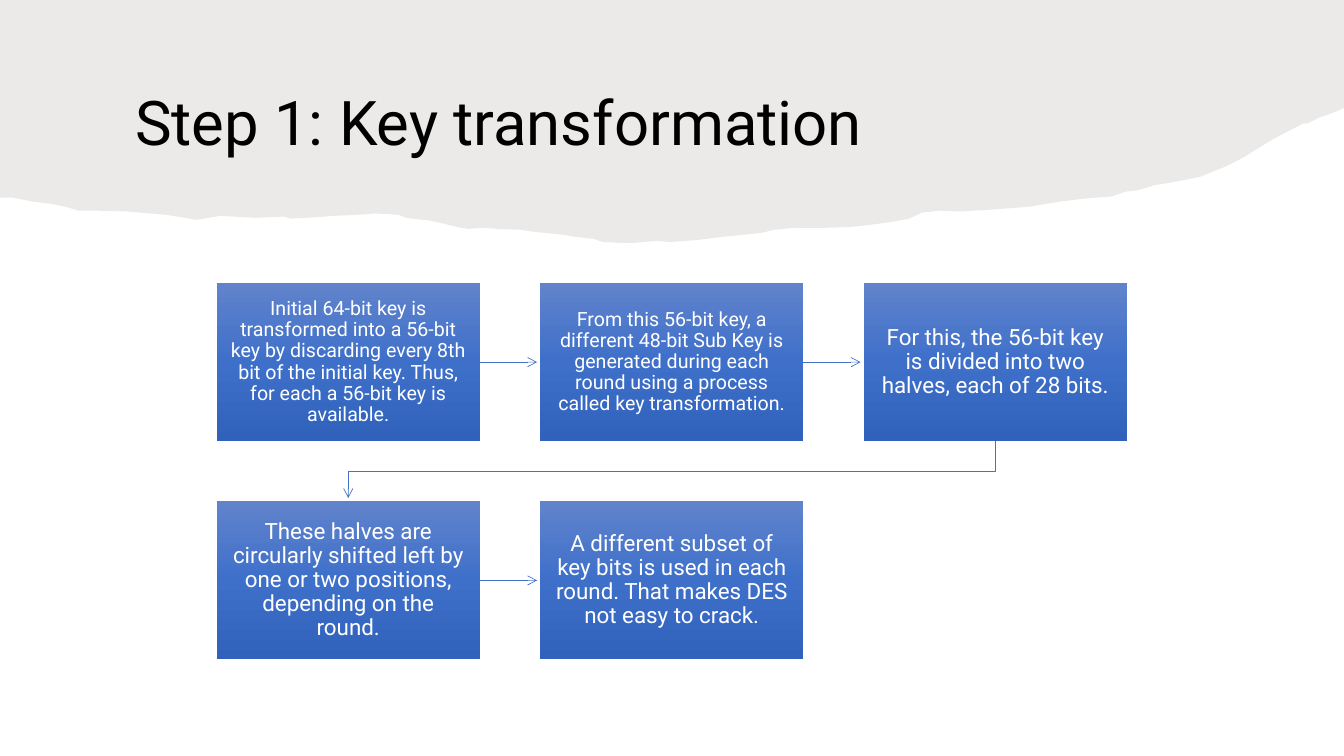
from copy import deepcopy

from lxml import etree
from pptx import Presentation
from pptx.dml.color import RGBColor
from pptx.enum.shapes import MSO_CONNECTOR, MSO_SHAPE
from pptx.enum.text import MSO_ANCHOR, PP_ALIGN
from pptx.oxml.ns import qn
from pptx.util import Cm, Pt

RECTANGLE = MSO_SHAPE.RECTANGLE
STRAIGHT = MSO_CONNECTOR.STRAIGHT
MIDDLE = MSO_ANCHOR.MIDDLE
LEFT, CENTER = PP_ALIGN.LEFT, PP_ALIGN.CENTER

FONT = "Roboto"
BANNER_COLOR = "ECEAE9"
ARROW_COLOR = "4472C4"
GRADIENT = [(0, "6183CB"), (0.5, "3E70CA"), (1, "3062BB")]

TITLE = "Step 1: Key transformation"
STEPS = [
    ("Initial 64-bit key is transformed into a 56-bit key by discarding every 8th bit "
     "of the initial key. Thus, for each a 56-bit key is available.", 14, 0.27),
    ("From this 56-bit key, a different 48-bit Sub Key is generated during each round "
     "using a process called key transformation.", 14, 0.27),
    ("For this, the 56-bit key is divided into two halves, each of 28 bits.", 16, 0.3),
    ("These halves are circularly shifted left by one or two positions, "
     "depending on the round.", 16, 0.3),
    ("A different subset of key bits is used in each round. "
     "That makes DES not easy to crack.", 16, 0.3),
]

TORN_EDGE = [
    (33.86, 2.72), (33.71, 2.79), (33.43, 2.9), (33.22, 2.97), (32.97, 3.1), (32.82, 3.12),
    (32.18, 3.45), (31.95, 3.58), (31.34, 3.96), (31.09, 4.09), (30.89, 4.19), (30.25, 4.45),
    (29.92, 4.52), (29.51, 4.6), (29.08, 4.67), (28.65, 4.8), (28.35, 4.83), (28.02, 4.95),
    (27.36, 5), (26.7, 5.08), (25.93, 5.21), (25.02, 5.28), (24.18, 5.33), (23.67, 5.31),
    (23.22, 5.36), (22.91, 5.51), (22.48, 5.59), (21.97, 5.66), (21.44, 5.72), (20.83, 5.74),
    (20.04, 5.74), (19.51, 5.79), (19.18, 5.87), (18.19, 5.97), (17.55, 6.05), (16.87, 6.1),
    (16.56, 6.07), (16, 6.12), (15.62, 6.12), (15.19, 6.1), (14.96, 6.02), (14.5, 5.97),
    (14.22, 5.92), (13.92, 5.89), (13.44, 5.84), (13.11, 5.79), (12.55, 5.77), (12.12, 5.74),
    (11.81, 5.77), (11.51, 5.72), (11.2, 5.64), (10.82, 5.56), (10.24, 5.49), (10.03, 5.41),
    (9.45, 5.38), (9.07, 5.41), (8.41, 5.44), (7.72, 5.49), (7.34, 5.51), (7.14, 5.46),
    (6.43, 5.49), (5.54, 5.44), (4.95, 5.54), (4.47, 5.46), (4.17, 5.41), (3.2, 5.33),
    (2.39, 5.31), (1.98, 5.31), (1.65, 5.21), (1.24, 5.13), (0.81, 5.08), (0.33, 4.98), (0, 4.98),
]

SLIDE_WIDTH, SLIDE_HEIGHT = 33.86, 19.05
COLUMNS = 3
GRID_LEFT, GRID_TOP = 5.46, 7.13
BOX_WIDTH, BOX_HEIGHT = 6.63, 3.99
COLUMN_STEP, ROW_STEP = 8.15, 5.5
ARROW_GAP = 0.08


def color(value):
    return RGBColor.from_string(value)


def draw_outline(slide, points, close):
    start, *rest = [(Cm(x), Cm(y)) for x, y in points]
    builder = slide.shapes.build_freeform(*start)
    builder.add_line_segments(rest, close=close)
    shape = builder.convert_to_shape()
    shape.shadow.inherit = False
    return shape


def format_text(text_frame, text, size, font_color, alignment):
    text_frame.text = text
    text_frame.word_wrap = True
    text_frame.vertical_anchor = MIDDLE
    paragraph = text_frame.paragraphs[0]
    paragraph.alignment = alignment
    paragraph.line_spacing = 0.9
    font = paragraph.runs[0].font
    font.name = FONT
    font.size = Pt(size)
    font.color.rgb = color(font_color)


def format_arrow(arrow):
    arrow.line.color.rgb = color(ARROW_COLOR)
    arrow.line.width = Pt(0.5)
    properties = arrow._element.spPr
    etree.SubElement(properties.find(qn("a:ln")), qn("a:tailEnd"), type="arrow")
    if properties.find(qn("a:effectLst")) is None:
        etree.SubElement(properties, qn("a:effectLst"))


def box_position(index):
    row, column = divmod(index, COLUMNS)
    return GRID_LEFT + column * COLUMN_STEP, GRID_TOP + row * ROW_STEP


def add_arrow(slide, index):
    left, top = box_position(index)
    next_left, next_top = box_position(index + 1)
    if top == next_top:
        middle = Cm(top + BOX_HEIGHT / 2)
        arrow = slide.shapes.add_connector(
            STRAIGHT, Cm(left + BOX_WIDTH), middle, Cm(next_left - ARROW_GAP), middle)
    else:
        bottom = top + BOX_HEIGHT
        turn = (bottom + next_top) / 2
        start_x, end_x = left + BOX_WIDTH / 2, next_left + BOX_WIDTH / 2
        points = [(start_x, bottom), (start_x, turn), (end_x, turn),
                  (end_x, next_top - ARROW_GAP)]
        arrow = draw_outline(slide, points, close=False)
        arrow.fill.background()
    format_arrow(arrow)


def add_box(slide, index, text, size, inset):
    left, top = box_position(index)
    box = slide.shapes.add_shape(RECTANGLE, Cm(left), Cm(top), Cm(BOX_WIDTH), Cm(BOX_HEIGHT))
    box.shadow.inherit = False
    box.line.fill.background()
    box.fill.gradient()
    box.fill.gradient_angle = 270
    stop_list = box._element.spPr.find(qn("a:gradFill")).find(qn("a:gsLst"))
    stop_list.insert(1, deepcopy(stop_list[0]))
    for stop, (position, stop_color) in zip(box.fill.gradient_stops, GRADIENT):
        stop.position = position
        stop.color.rgb = color(stop_color)
    frame = box.text_frame
    frame.margin_left = frame.margin_right = Cm(inset)
    frame.margin_top = frame.margin_bottom = Cm(inset)
    format_text(frame, text, size, "FFFFFF", CENTER)


def main():
    presentation = Presentation()
    presentation.slide_width, presentation.slide_height = Cm(SLIDE_WIDTH), Cm(SLIDE_HEIGHT)
    slide = presentation.slides.add_slide(presentation.slide_layouts[5])

    banner = draw_outline(slide, [(0, 0), (SLIDE_WIDTH, 0)] + TORN_EDGE, close=True)
    banner.fill.solid()
    banner.fill.fore_color.rgb = color(BANNER_COLOR)
    banner.line.fill.background()

    title = slide.shapes.title
    banner._element.addnext(title._element)
    title.left, title.top, title.width, title.height = Cm(3.15), Cm(1.52), Cm(27.53), Cm(3.3)
    format_text(title.text_frame, TITLE, 44, "000000", LEFT)

    for index in range(len(STEPS) - 1):
        add_arrow(slide, index)
    for index, (text, size, inset) in enumerate(STEPS):
        add_box(slide, index, text, size, inset)

    presentation.save("out.pptx")


if __name__ == "__main__":
    main()
